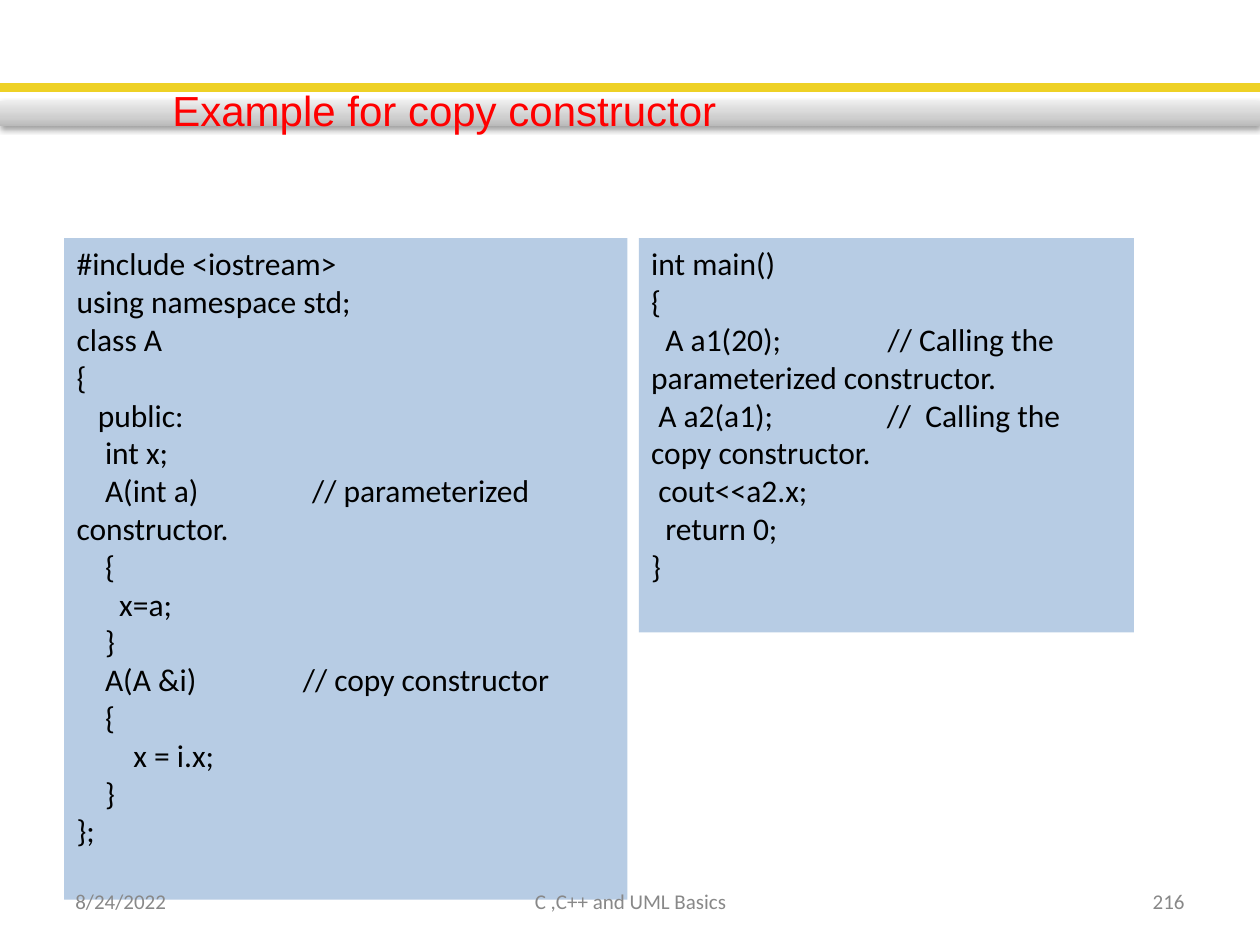
from dataclasses import dataclass

from lxml.etree import SubElement
from pptx import Presentation
from pptx.dml.color import RGBColor
from pptx.enum.shapes import MSO_SHAPE
from pptx.enum.text import MSO_ANCHOR, PP_ALIGN
from pptx.oxml.ns import qn
from pptx.util import Emu, Pt

PX = 9144  # 100 px to the inch


@dataclass(frozen=True)
class Theme:
    stripe: str = "EED126"
    bar_stops: tuple = ((0, "BABABA"), (35, "CFCFCF"), (100, "EDEDED"))
    shadow: str = "000000"
    panel: str = "B7CCE4"
    code: str = "000000"
    title: str = "FF0000"
    footer: str = "888888"
    title_font: str = "Arial"
    body_font: str = "Calibri"
    title_size: int = 24
    code_size: int = 18
    footer_size: int = 12


@dataclass(frozen=True)
class Box:
    left: int
    top: int
    width: int
    height: int

    def emu(self) -> list:
        return [Emu(v * PX) for v in (self.left, self.top, self.width, self.height)]


@dataclass(frozen=True)
class Style:
    font: str
    size: int
    color: str
    align: PP_ALIGN = PP_ALIGN.LEFT
    anchor: MSO_ANCHOR = MSO_ANCHOR.TOP


@dataclass(frozen=True)
class Label:
    box: Box
    text: str
    style: Style


THEME = Theme()
CODE = Style(THEME.body_font, THEME.code_size, THEME.code)
TITLE = Style(THEME.title_font, THEME.title_size, THEME.title)

CLASS_CODE = """#include <iostream>
using namespace std;
class A
{
   public:
    int x;
    A(int a)                // parameterized constructor.
    {
      x=a;
    }
    A(A &i)               // copy constructor
    {
        x = i.x;
    }
};"""

MAIN_CODE = """int main()
{
  A a1(20);               // Calling the parameterized constructor.
 A a2(a1);                //  Calling the copy constructor.
 cout<<a2.x;
  return 0;
}"""


def footer(left: int, width: int, text: str, align: PP_ALIGN) -> Label:
    style = Style(THEME.body_font, THEME.footer_size, THEME.footer, align, MSO_ANCHOR.MIDDLE)
    return Label(Box(left, 695, width, 40), text, style)


PANELS = (
    Label(Box(51, 189, 447, 525), CLASS_CODE, CODE),
    Label(Box(507, 189, 393, 313), MAIN_CODE, CODE),
)
LABELS = (
    Label(Box(127, 62, 456, 50), "Example for copy constructor", TITLE),
    footer(50, 233, "8/24/2022", PP_ALIGN.LEFT),
    footer(342, 317, "C ,C++ and UML Basics", PP_ALIGN.CENTER),
    footer(717, 233, "216", PP_ALIGN.RIGHT),
)


def add_rect(slide, box: Box, fill: str):
    rect = slide.shapes.add_shape(MSO_SHAPE.RECTANGLE, *box.emu())
    rect.shadow.inherit = False
    rect.fill.solid()
    rect.fill.fore_color.rgb = RGBColor.from_string(fill)
    rect.line.fill.background()
    return rect


def write(shape, text: str, style: Style) -> None:
    frame = shape.text_frame
    frame.word_wrap = True
    frame.vertical_anchor = style.anchor
    frame.text = text
    for paragraph in frame.paragraphs:
        paragraph.alignment = style.align
        for run in paragraph.runs:
            run.font.name = style.font
            run.font.size = Pt(style.size)
            run.font.color.rgb = RGBColor.from_string(style.color)


def add_color(parent, color: str):
    return SubElement(parent, qn("a:srgbClr"), val=color)


def add_title_bar(slide, box: Box) -> None:
    bar = add_rect(slide, box, THEME.panel)
    bar.fill.gradient()
    bar.fill.gradient_angle = 90
    properties = bar.element.spPr
    stops = properties.find(".//" + qn("a:gsLst"))
    for stop in list(stops):
        stops.remove(stop)
    for percent, color in THEME.bar_stops:
        add_color(SubElement(stops, qn("a:gs"), pos=str(percent * 1000)), color)
    shadow = SubElement(properties.find(qn("a:effectLst")), qn("a:outerShdw"),
                        blurRad="40000", dist="20000", dir="5400000", rotWithShape="0")
    SubElement(add_color(shadow, THEME.shadow), qn("a:alpha"), val="38000")


def main() -> None:
    deck = Presentation()
    deck.slide_width, deck.slide_height = Emu(1000 * PX), Emu(750 * PX)
    slide = deck.slides.add_slide(deck.slide_layouts[6])

    # Header stripe and shaded bar
    stripe = add_rect(slide, Box(0, 67, 1000, 5), THEME.stripe)
    stripe.line.color.rgb = RGBColor.from_string(THEME.stripe)
    stripe.line.width = Pt(2)
    add_title_bar(slide, Box(0, 80, 1000, 20))

    # Code panels
    for panel in PANELS:
        write(add_rect(slide, panel.box, THEME.panel), panel.text, panel.style)

    # Title and footer
    for label in LABELS:
        write(slide.shapes.add_textbox(*label.box.emu()), label.text, label.style)

    deck.save("out.pptx")


if __name__ == "__main__":
    main()
